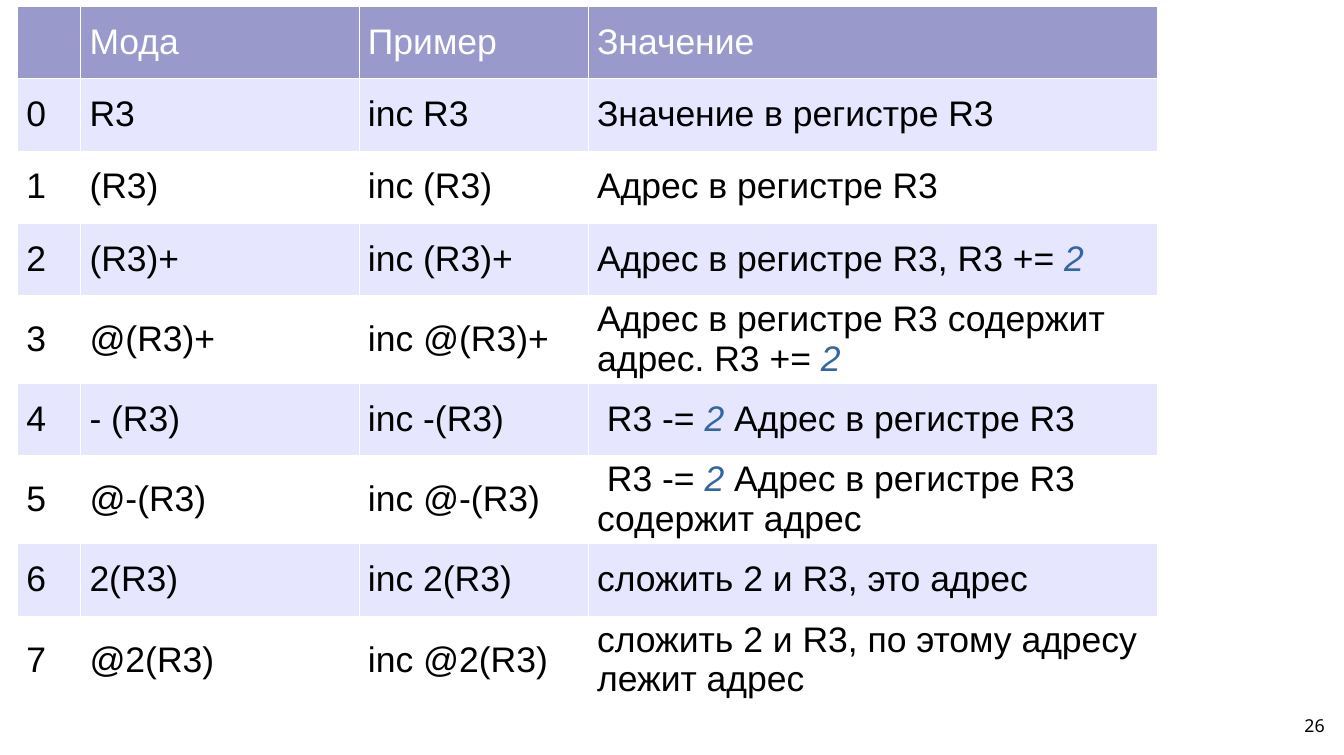
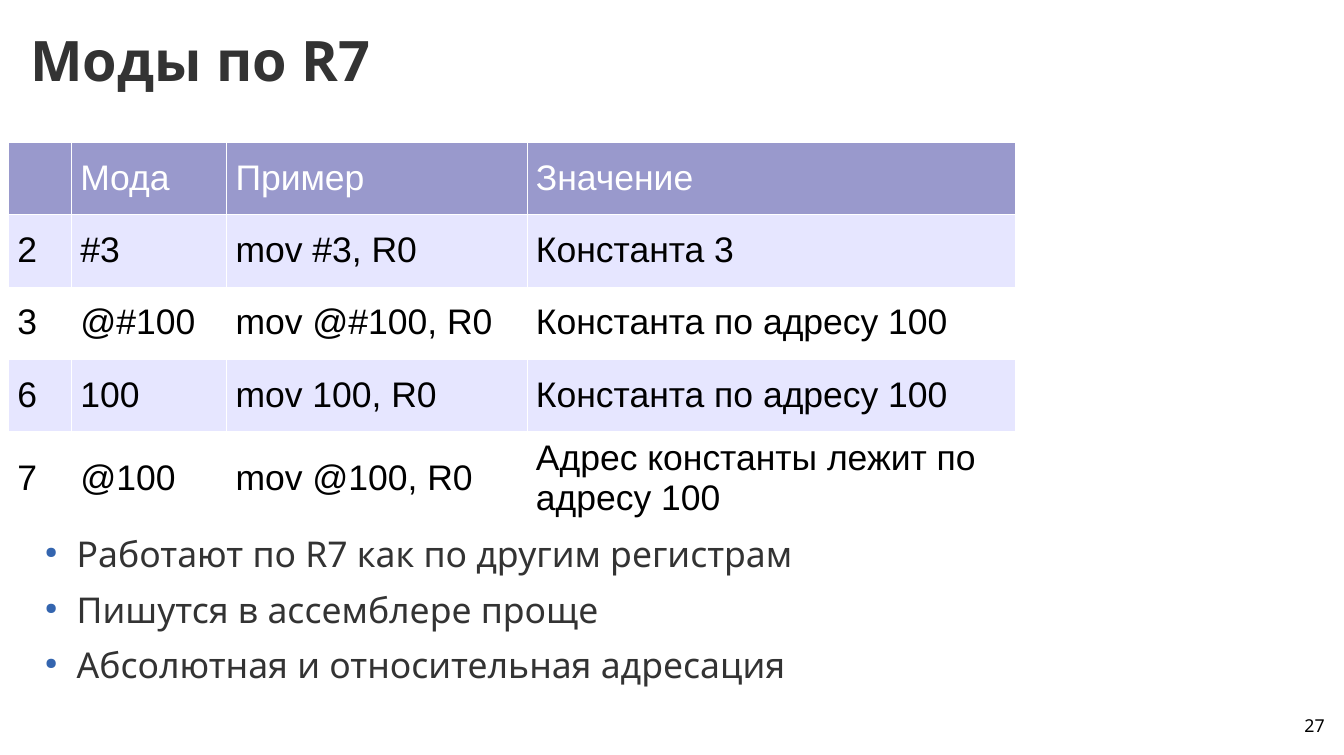
from lxml import etree
from pptx import Presentation
from pptx.dml.color import RGBColor
from pptx.enum.text import MSO_ANCHOR, MSO_AUTO_SIZE, PP_ALIGN
from pptx.oxml.ns import qn
from pptx.util import Pt

MIDDLE, TOP = MSO_ANCHOR.MIDDLE, MSO_ANCHOR.TOP
LEFT, RIGHT = PP_ALIGN.LEFT, PP_ALIGN.RIGHT
FIT_SHAPE = MSO_AUTO_SIZE.SHAPE_TO_FIT_TEXT
TITLE_ONLY, BLANK = 5, 6


class Theme:
    header = RGBColor.from_string("9999CC")
    band = RGBColor.from_string("E6E6FF")
    white = RGBColor.from_string("FFFFFF")
    black = RGBColor.from_string("000000")
    text = RGBColor.from_string("333333")
    accent = RGBColor.from_string("3465A4")
    bullet = "3465AF"
    table_font, body_font = "Arial", "Noto Sans"
    title_size, body_size, number_size = Pt(44), Pt(28), Pt(14)
    row_height, border = Pt(56.88), Pt(0.06)


def set_font(font, name, size, color, bold=False, italic=False):
    font.name, font.size, font.bold, font.italic = name, size, bold, italic
    font.color.rgb = color


def set_frame(shape, left, top, width, height, anchor):
    shape.left, shape.top, shape.width, shape.height = Pt(left), Pt(top), Pt(width), Pt(height)
    frame = shape.text_frame
    frame.margin_left = frame.margin_top = frame.margin_right = frame.margin_bottom = 0
    frame.word_wrap, frame.vertical_anchor = True, anchor
    return frame


# Content: asterisks enclose the accented part of a cell
heading = ("", "Мода", "Пример", "Значение")
register_modes = [
    heading,
    ("0", "R3", "inc R3", "Значение в регистре R3"),
    ("1", "(R3)", "inc (R3)", "Адрес в регистре R3"),
    ("2", "(R3)+", "inc (R3)+", "Адрес в регистре R3, R3 += *2*"),
    ("3", "@(R3)+", "inc @(R3)+", "Адрес в регистре R3 содержит адрес. R3 += *2*"),
    ("4", "- (R3)", "inc -(R3)", " R3 -= *2 *Адрес в регистре R3"),
    ("5", "@-(R3)", "inc @-(R3)", " R3 -= *2 *Адрес в регистре R3 содержит адрес"),
    ("6", "2(R3)", "inc 2(R3)", "сложить 2 и R3, это адрес"),
    ("7", "@2(R3)", "inc @2(R3)", "сложить 2 и R3, по этому адресу лежит адрес"),
]
counter_modes = [
    heading,
    ("2", "#3", "mov #3, R0", "Константа 3"),
    ("3", "@#100", "mov @#100, R0", "Константа по адресу 100"),
    ("6", "100", "mov 100, R0", "Константа по адресу 100"),
    ("7", "@100", "mov @100, R0", "Адрес константы лежит по адресу 100"),
]
# Number, layout, title, table position, column widths, rows, bullets
slides = [
    (26, BLANK, "", (13.68, 5.04), (49.7, 219.6, 180.7, 448.6), register_modes, []),
    (27, TITLE_ONLY, "Моды по R7", (6.48, 112.32), (49.7, 122.4, 236.9, 385.2), counter_modes,
     ["Работают по R7 как по другим регистрам",
      "Пишутся в ассемблере проще",
      "Абсолютная и относительная адресация"]),
]

presentation = Presentation()
presentation.slide_width, presentation.slide_height = Pt(1059.84), Pt(595.44)

for number, layout, title, (left, top), widths, rows, bullets in slides:
    slide = presentation.slides.add_slide(presentation.slide_layouts[layout])

    # Title
    if title:
        frame = set_frame(slide.shapes.title, 23.76, 16.56, 1019.52, 59.76, MIDDLE)
        frame.text, frame.auto_size = title, FIT_SHAPE
        paragraph = frame.paragraphs[0]
        paragraph.alignment = LEFT
        set_font(paragraph.runs[0].font, Theme.body_font, Theme.title_size, Theme.text, bold=True)

    # Table of addressing modes
    table = slide.shapes.add_table(len(rows), len(widths), Pt(left), Pt(top),
                                   Pt(sum(widths)), Theme.row_height * len(rows)).table
    table.horz_banding = False
    for column, width in zip(table.columns, widths):
        column.width = Pt(width)
    for row_index, row in enumerate(rows):
        if row_index == 0:
            fill, color = Theme.header, Theme.white
        else:
            fill, color = (Theme.band if row_index % 2 else Theme.white), Theme.black
        for column_index, content in enumerate(row):
            cell = table.cell(row_index, column_index)
            cell.vertical_anchor = MIDDLE
            paragraph = cell.text_frame.paragraphs[0]
            for part_index, part in enumerate(content.split("*")):
                accented = part_index % 2 == 1
                run = paragraph.add_run()
                run.text = part
                set_font(run.font, Theme.table_font, Theme.body_size,
                         Theme.accent if accented else color, italic=accented)
            # Borders come before the fill in the cell properties
            properties = cell._tc.get_or_add_tcPr()
            for side in ("a:lnL", "a:lnR", "a:lnT", "a:lnB"):
                line = etree.SubElement(properties, qn(side), w=str(int(Theme.border)))
                solid = etree.SubElement(line, qn("a:solidFill"))
                etree.SubElement(solid, qn("a:srgbClr"), val=str(Theme.white))
            cell.fill.solid()
            cell.fill.fore_color.rgb = fill

    # Bulleted remarks
    if bullets:
        box = slide.shapes.add_textbox(0, 0, 0, 0)
        frame = set_frame(box, 26.64, 424.08, 784.08, 140.4, TOP)
        frame.text = "\n".join(bullets)
        for paragraph in frame.paragraphs:
            paragraph.space_after, paragraph.line_spacing = Pt(14.1), 0.88
            set_font(paragraph.runs[0].font, Theme.body_font, Theme.body_size, Theme.text)
            properties = paragraph._p.get_or_add_pPr()
            properties.set("marL", str(int(Pt(33.84))))
            properties.set("indent", str(int(Pt(-25.2))))
            bullet_color = etree.SubElement(properties, qn("a:buClr"))
            etree.SubElement(bullet_color, qn("a:srgbClr"), val=Theme.bullet)
            etree.SubElement(properties, qn("a:buSzPct"), val="45000")
            etree.SubElement(properties, qn("a:buChar"), char="●")

    # Slide number
    box = slide.shapes.add_textbox(0, 0, 0, 0)
    frame = set_frame(box, 797.76, 563.76, 246.96, 22.32, TOP)
    frame.text = str(number)
    paragraph = frame.paragraphs[0]
    paragraph.alignment = RIGHT
    set_font(paragraph.runs[0].font, Theme.body_font, Theme.number_size, Theme.black)

presentation.save("out.pptx")
